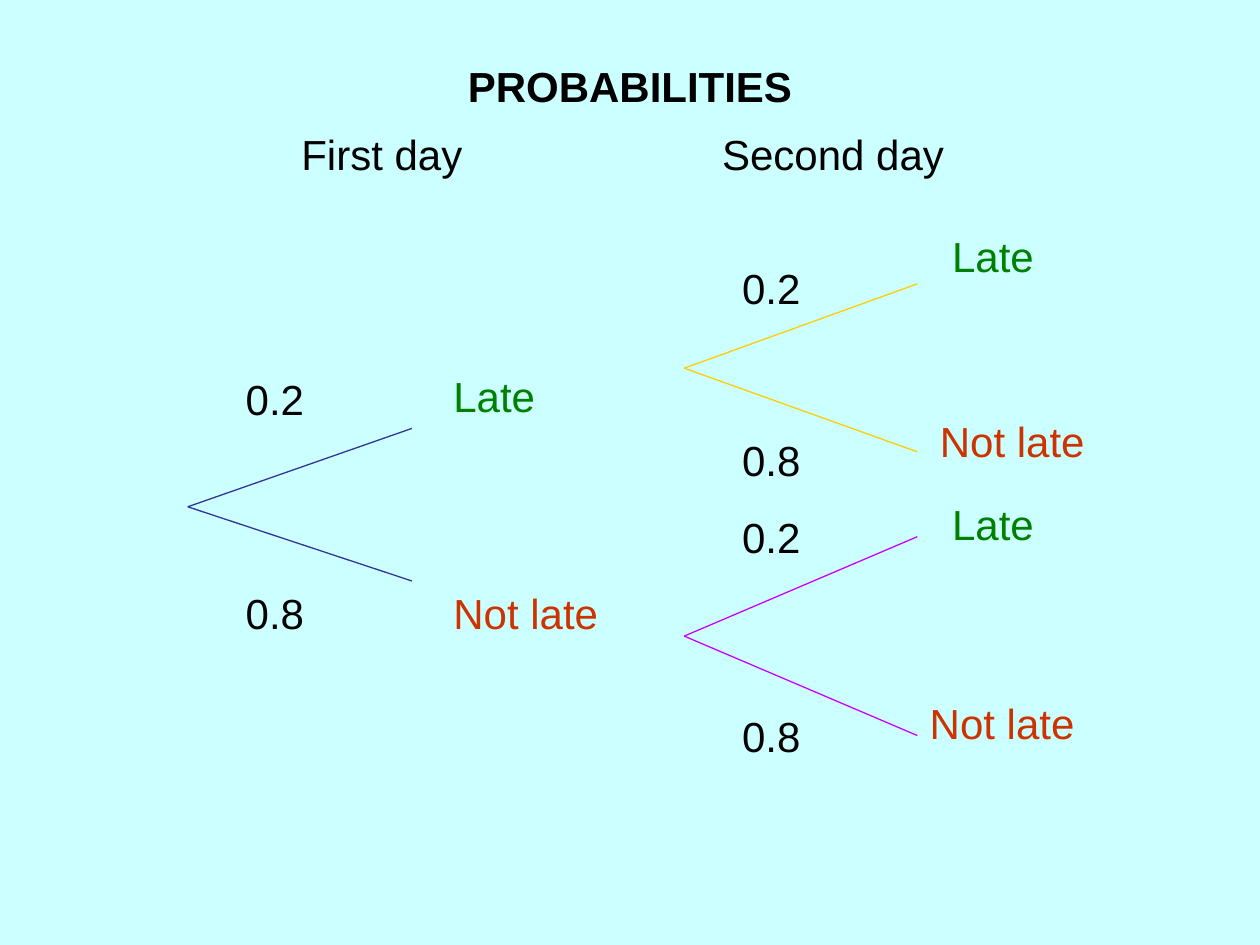
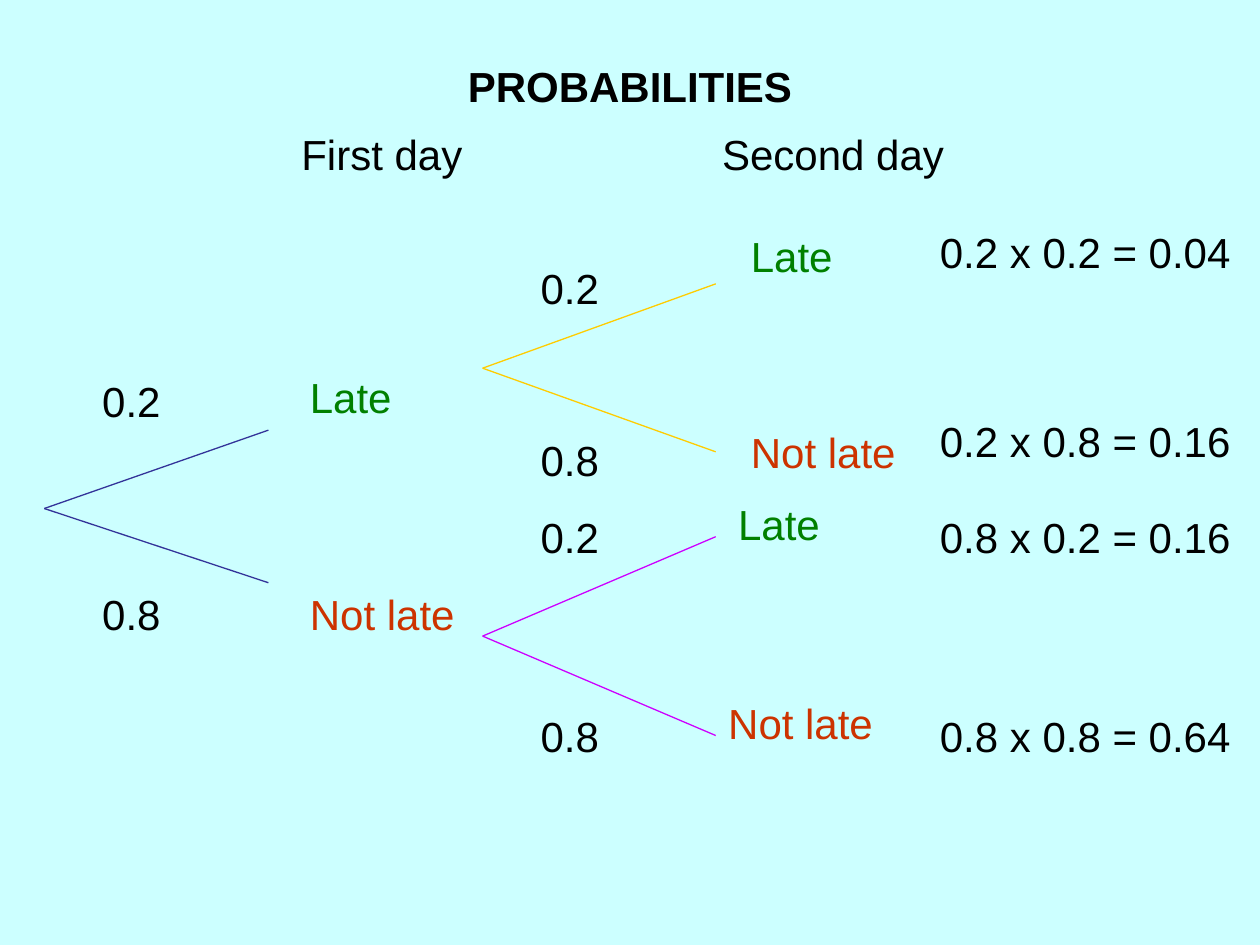
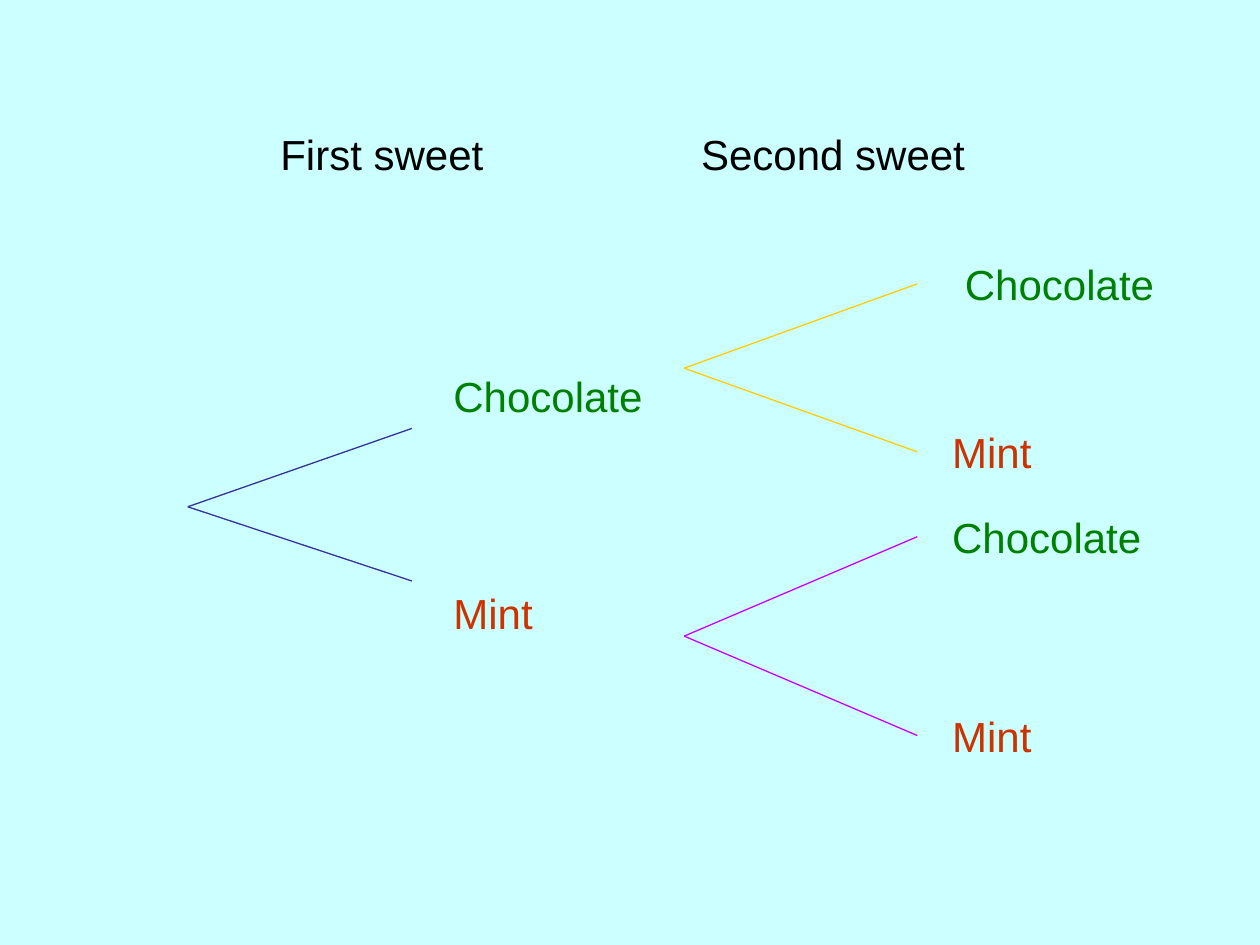
from dataclasses import dataclass

from lxml import etree
from pptx import Presentation
from pptx.dml.color import RGBColor
from pptx.enum import shapes, text
from pptx.oxml import ns
from pptx.util import Pt

COLOURS = {
    "background": "CCFFFF",
    "ink": "000000",
    "first outcome": "008000",
    "second outcome": "CC3300",
    "first day": "333399",
    "after first": "FFCC00",
    "after second": "CC00FF",
}
OUTCOME_COLOURS = ("first outcome", "second outcome")
FONT = "Arial"
TEXT_SIZE = 24
LINE_HEIGHT = 36
PROBABILITY_INDENT = 26
PROBABILITY_WIDTH = 57
CHANCES = ("0.2", "0.8")


@dataclass(frozen=True)
class Fork:
    """Two branches from one root, with the tops of their probabilities."""
    root: tuple[float, float]
    tip_x: float
    tip_ys: tuple[float, float]
    probability_tops: tuple[float, float]
    colour: str


@dataclass(frozen=True)
class Place:
    """Left, top and width of a line of text."""
    left: float
    top: float
    width: float


@dataclass(frozen=True)
class Tree:
    """What one slide shows: headings, outcomes and where they stand."""
    headings: tuple[str, str]
    outcomes: tuple[str, str]
    outcome_places: tuple[tuple[Place, Place], ...]  # one pair for each fork
    chances: tuple[str, ...] = ()
    title: str = ""
    first_shift: tuple[float, float] = (0, 0)
    second_shift: tuple[float, float] = (0, 0)
    products: tuple[tuple[str, float], ...] = ()


FORKS = (
    Fork((107.3, 289.6), 235.4, (244.8, 332), (210.2, 332), "first day"),
    Fork((391, 210.4), 524.2, (162.2, 258.2), (146.2, 244.8), "after first"),
    Fork((391, 363.5), 524.2, (306.7, 420.3), (288.7, 402.5), "after second"),
)
TITLE_PLACE = Place(190, 31, 340)
HEADING_PLACES = (Place(133.2, 70, 170), Place(391, 70, 170))
PRODUCT_LEFT, PRODUCT_WIDTH = 530, 181

TREES = (
    Tree(
        headings=("First day", "Second day"),
        outcomes=("Late", "Not late"),
        outcome_places=(
            (Place(252, 208, 76), Place(252, 332, 125)),
            (Place(537, 128.2, 95), Place(530, 234, 136)),
            (Place(537, 281.5, 76), Place(524.2, 395.3, 136)),
        ),
        chances=CHANCES,
        title="PROBABILITIES",
    ),
    Tree(
        headings=("First day", "Second day"),
        outcomes=("Late", "Not late"),
        outcome_places=(
            (Place(170, 209, 76), Place(170, 333, 108)),
            (Place(422, 128.2, 76), Place(422, 240.3, 109)),
            (Place(414.7, 281.5, 76), Place(409, 395.3, 121)),
        ),
        chances=CHANCES,
        title="PROBABILITIES",
        first_shift=(-82, 1),
        second_shift=(-115.2, 0),
        products=(
            ("0.2 x 0.2 = 0.04", 126),
            ("0.2 x 0.8 = 0.16", 234),
            ("0.8 x 0.2 = 0.16", 288.7),
            ("0.8 x 0.8 = 0.64", 402.5),
        ),
    ),
    Tree(
        headings=("First sweet", "Second sweet"),
        outcomes=("Chocolate", "Mint"),
        outcome_places=(
            (Place(252, 208, 139), Place(252, 332, 125)),
            (Place(544.3, 144.2, 139), Place(537, 240.3, 125)),
            (Place(537, 288.7, 139), Place(537, 402.5, 125)),
        ),
    ),
)


def rgb(colour: str) -> RGBColor:
    return RGBColor.from_string(COLOURS[colour])


def write_line(frame, wording: str, colour: str = "ink",
               centred: bool = False, bold: bool = False) -> None:
    """Set one line of text in the deck's style."""
    frame.word_wrap = True
    frame.auto_size = text.MSO_AUTO_SIZE.SHAPE_TO_FIT_TEXT
    frame.vertical_anchor = text.MSO_ANCHOR.TOP
    frame.text = wording
    paragraph = frame.paragraphs[0]
    paragraph.alignment = text.PP_ALIGN.CENTER if centred else text.PP_ALIGN.LEFT
    paragraph.font.name = FONT
    paragraph.font.size = Pt(TEXT_SIZE)
    paragraph.font.bold = bold
    paragraph.font.color.rgb = rgb(colour)


def add_label(canvas, wording: str, place: Place, colour: str = "ink",
              centred: bool = False) -> None:
    label = canvas.add_textbox(Pt(place.left), Pt(place.top),
                               Pt(place.width), Pt(LINE_HEIGHT))
    write_line(label.text_frame, wording, colour, centred)


def add_branch(canvas, start: tuple[float, float], end: tuple[float, float],
               colour: str) -> None:
    branch = canvas.add_connector(shapes.MSO_CONNECTOR.STRAIGHT,
                                  *(Pt(value) for value in start + end))
    branch.line.color.rgb = rgb(colour)
    branch.line.width = Pt(0.75)
    properties = branch._element.find(ns.qn("p:spPr"))
    etree.SubElement(properties, ns.qn("a:effectLst"))


def draw_fork(canvas, fork: Fork, shift: tuple[float, float], tree: Tree,
              places: tuple[Place, Place]) -> None:
    """Draw both branches with their outcomes and any probabilities."""
    dx, dy = shift
    root = (fork.root[0] + dx, fork.root[1] + dy)
    for tip_y in fork.tip_ys:
        add_branch(canvas, root, (fork.tip_x + dx, tip_y + dy), fork.colour)
    for outcome, place, colour in zip(tree.outcomes, places, OUTCOME_COLOURS):
        add_label(canvas, outcome, place, colour)
    for chance, top in zip(tree.chances, fork.probability_tops):
        add_label(canvas, chance, Place(root[0] + PROBABILITY_INDENT, top + dy,
                                        PROBABILITY_WIDTH))


def add_title(slide, wording: str) -> None:
    title = slide.shapes.title
    title.left, title.top = Pt(TITLE_PLACE.left), Pt(TITLE_PLACE.top)
    title.width, title.height = Pt(TITLE_PLACE.width), Pt(LINE_HEIGHT)
    write_line(title.text_frame, wording, centred=True, bold=True)


def draw_tree(deck, tree: Tree) -> None:
    layout = "Title Only" if tree.title else "Blank"
    slide = deck.slides.add_slide(deck.slide_layouts.get_by_name(layout))
    if tree.title:
        add_title(slide, tree.title)
    for heading, place in zip(tree.headings, HEADING_PLACES):
        add_label(slide.shapes, heading, place, centred=True)

    # Forks: the first event, then one for each of its outcomes
    shifts = (tree.first_shift, tree.second_shift, tree.second_shift)
    for fork, shift, places in zip(FORKS, shifts, tree.outcome_places):
        draw_fork(slide.shapes, fork, shift, tree, places)

    # Probabilities along each path
    for product, top in tree.products:
        add_label(slide.shapes, product,
                  Place(PRODUCT_LEFT, top, PRODUCT_WIDTH))


def main() -> None:
    deck = Presentation()
    deck.slide_width, deck.slide_height = Pt(720), Pt(540)
    backdrop = deck.slide_master.background.fill
    backdrop.solid()
    backdrop.fore_color.rgb = rgb("background")
    for tree in TREES:
        draw_tree(deck, tree)
    deck.save("out.pptx")


if __name__ == "__main__":
    main()
